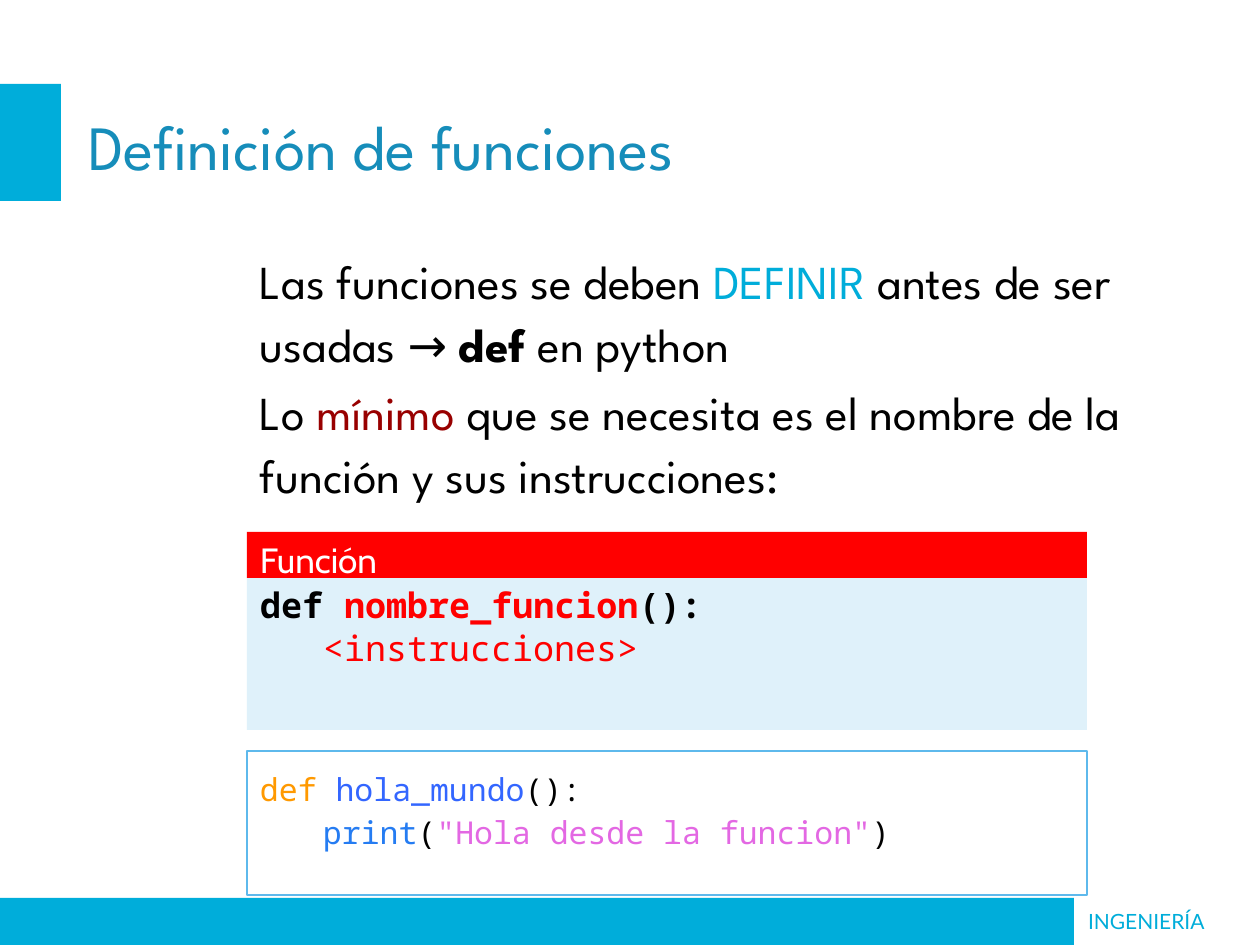
from dataclasses import dataclass, field
from typing import NamedTuple, Optional

from pptx import Presentation
from pptx.dml.color import RGBColor as Rgb
from pptx.enum.shapes import MSO_SHAPE as Form
from pptx.enum.text import MSO_ANCHOR as Anchor, PP_ALIGN as Align
from pptx.util import Emu, Pt

SCALE = 914400 / 126


def px(n: int) -> Emu:
    return Emu(round(n * SCALE))


@dataclass(frozen=True)
class Theme:
    cyan: str = "00ADDA"
    blue: str = "168DBA"
    pale: str = "DFF1FA"
    edge: str = "5EB9EC"
    red: str = "FF0000"
    wine: str = "980000"
    black: str = "000000"
    white: str = "FFFFFF"
    word: str = "FF9900"
    name: str = "3366FF"
    call: str = "257CF2"
    quote: str = "E368E3"
    head: str = "League Spartan"
    label: str = "Cabin"
    foot: str = "Lato"
    mono: str = "Noto Sans Mono"
    title: int = 36
    body: int = 27
    code: int = 20
    demo: int = 18
    small: int = 12


T = Theme()


class Area(NamedTuple):
    left: int
    top: int
    width: int
    height: int


class Span(NamedTuple):
    text: str
    color: str = T.black
    bold: bool = False


@dataclass(frozen=True)
class Copy:
    font: str
    size: int
    lines: list[list[Span]]
    pad: int = 13
    pitch: float = 1.0
    gap: float = 0


@dataclass(frozen=True)
class Box:
    area: Area
    fill: Optional[str] = None
    line: Optional[str] = None
    copy: Optional[Copy] = field(default=None)


def place(shape, area: Area) -> None:
    shape.left, shape.top, shape.width, shape.height = map(px, area)


def write(frame, copy: Copy, anchor=Anchor.TOP) -> None:
    frame.word_wrap = True
    frame.vertical_anchor = anchor
    frame.margin_left = frame.margin_right = px(13)
    frame.margin_top = frame.margin_bottom = px(copy.pad)
    for i, spans in enumerate(copy.lines):
        para = frame.add_paragraph() if i else frame.paragraphs[0]
        para.alignment = Align.LEFT
        para.line_spacing = copy.pitch
        if i and copy.gap:
            para.space_before = Pt(copy.gap)
        for span in spans:
            run = para.add_run()
            run.text = span.text
            font = run.font
            font.name = copy.font
            font.size = Pt(copy.size)
            font.bold = span.bold
            font.color.rgb = Rgb.from_string(span.color)


def draw(slide, box: Box) -> None:
    shape = slide.shapes.add_shape(Form.RECTANGLE, *map(px, box.area))
    shape.shadow.inherit = False
    if box.fill:
        shape.fill.solid()
        shape.fill.fore_color.rgb = Rgb.from_string(box.fill)
    else:
        shape.fill.background()
    if box.line:
        shape.line.color.rgb = Rgb.from_string(box.line)
        shape.line.width = Pt(0.75)
    else:
        shape.line.fill.background()
    if box.copy:
        write(shape.text_frame, box.copy)


def note(slide, area: Area, copy: Copy) -> None:
    write(slide.shapes.add_textbox(*map(px, area)).text_frame, copy)


LEFT, WIDE = 247, 840

BANDS = [
    Box(Area(-2, 898, 1076, 50), T.cyan),
    Box(Area(-2, 84, 63, 117), T.cyan),
]

FOOT = Copy(T.foot, T.small, [[Span("INGENIERÍA", T.cyan)]])

TITLE = Copy(T.head, T.title, [[Span("Definición de funciones", T.blue)]])

BODY = Copy(T.head, T.body, [
    [Span("Las funciones se deben "), Span("DEFINIR", T.cyan),
     Span(" antes de ser usadas → "), Span("def ", bold=True),
     Span("en python")],
    [Span("Lo "), Span("mínimo ", T.wine),
     Span("que se necesita es el nombre de la función y sus instrucciones:")],
], pitch=1.1, gap=3.6)

CODE = Copy(T.mono, T.code, [
    [Span("def ", bold=True), Span("nombre_funcion", T.red, True),
     Span("():", bold=True)],
    [Span("\t<instrucciones>", T.red)],
], pad=6)

LABEL = Copy(T.label, T.code, [[Span("Función", T.white)]], pad=6)

DEMO = Copy(T.mono, T.demo, [
    [Span("def ", T.word), Span("hola_mundo", T.name), Span("():")],
    [Span("\tprint", T.call), Span("("),
     Span('"Hola desde la funcion"', T.quote), Span(")")],
], pitch=1.15)

PANELS = [
    Box(Area(LEFT, 578, WIDE, 152), T.pale, copy=CODE),
    Box(Area(LEFT, 532, WIDE, 46), T.red, copy=LABEL),
    Box(Area(LEFT, 751, WIDE, 144), line=T.edge, copy=DEMO),
]


def main() -> None:
    deck = Presentation()
    deck.slide_width, deck.slide_height = px(1260), px(945)
    slide = deck.slides.add_slide(deck.slide_layouts[5])
    for band in BANDS:
        draw(slide, band)
    note(slide, Area(1075, 896, 185, 50), FOOT)
    title = slide.shapes.title
    place(title, Area(63, 106, 1134, 79))
    write(title.text_frame, TITLE, Anchor.MIDDLE)
    title.text_frame.margin_left = px(25)
    note(slide, Area(LEFT, 234, 969, 669), BODY)
    for panel in PANELS:
        draw(slide, panel)
    deck.save("out.pptx")


if __name__ == "__main__":
    main()
